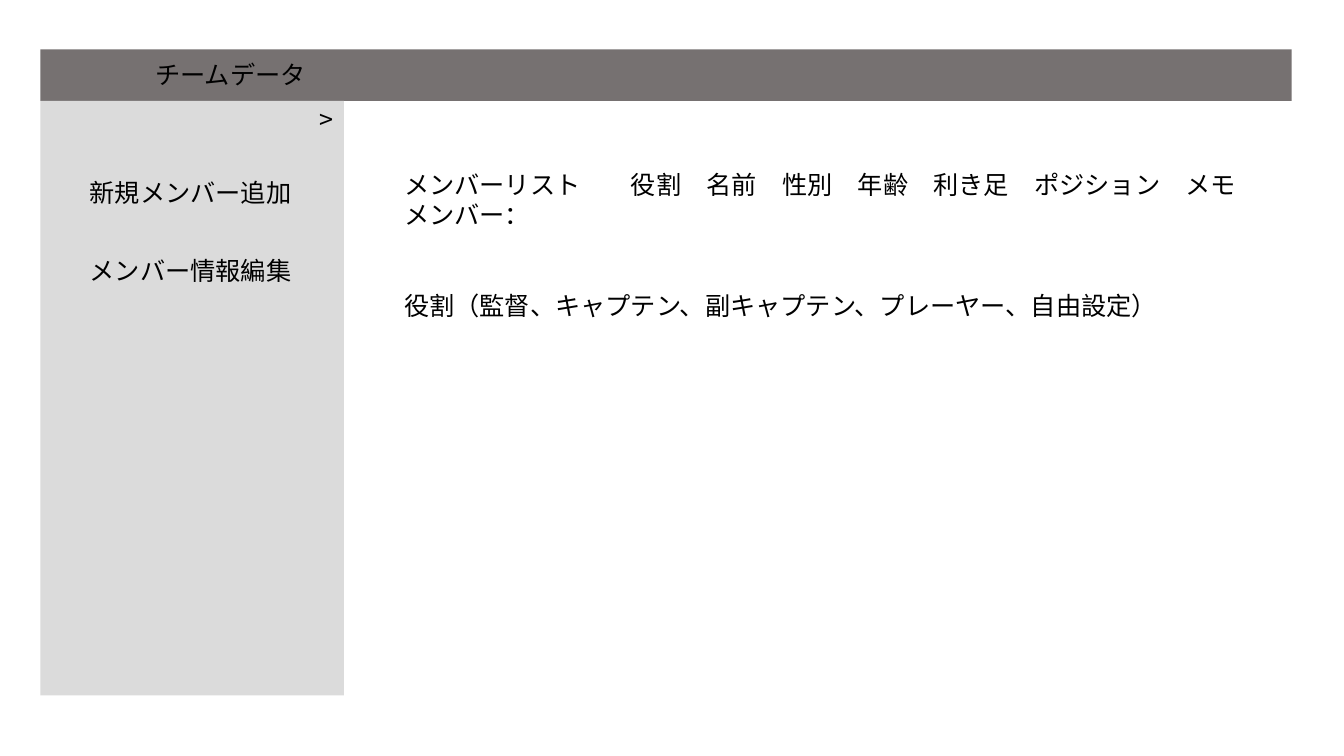
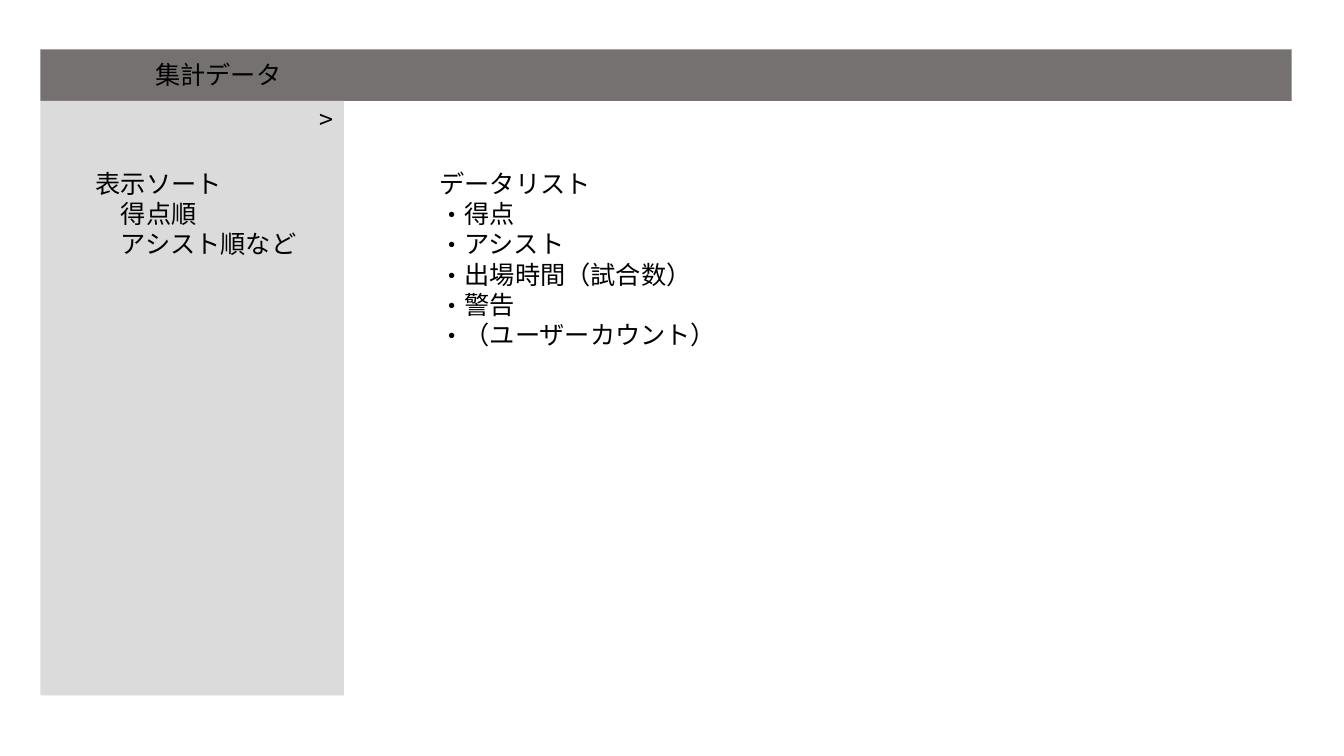
from lxml.etree import SubElement
from pptx import Presentation
from pptx.dml.color import RGBColor
from pptx.enum.shapes import MSO_SHAPE as SHAPE
from pptx.enum.text import MSO_ANCHOR as ANCHOR, MSO_AUTO_SIZE as AUTO, PP_ALIGN as ALIGN
from pptx.oxml.ns import qn
from pptx.util import Inches, Pt

COLORS = {"header": "767171", "sidebar": "DBDBDB", "text": "000000"}
FONT = "Noto Sans CJK JP"
SIZE = 18
EM = SIZE / 72  # width of one full-width character, in inches

# Regions: left, top, width, height
HEADER = (0.4, 0.49, 12.41, 0.51)
SIDEBAR = (0.4, 1, 3.01, 5.9)


def rgb(name):
    return RGBColor.from_string(COLORS[name])


def write(p, text, size=SIZE, color="text", before=0, indent=0, bullet=None, tabs=()):
    """Fill a paragraph with one formatted run."""
    p.alignment = ALIGN.LEFT
    p.space_before = Pt(before)
    r = p.add_run()
    r.text = text
    r.font.size = Pt(size)
    r.font.color.rgb = rgb(color)
    r.font.name = FONT
    SubElement(r._r.get_or_add_rPr(), qn("a:ea"), typeface=FONT)

    pPr = p._p.get_or_add_pPr()
    if indent:
        pPr.set("marL", str(Inches(indent)))
        pPr.set("indent", str(-Inches(indent) if bullet else 0))
    if bullet:
        SubElement(pPr, qn("a:buFont"), typeface=FONT)
        SubElement(pPr, qn("a:buChar"), char=bullet)
    if tabs:
        stops = SubElement(pPr, qn("a:tabLst"))
        for pos in tabs:
            SubElement(stops, qn("a:tab"), pos=str(Inches(pos)), algn="l")


def add_text(s, left, top, width, height, *lines):
    """Add a text box; each line is a pair of text and format."""
    box = s.shapes.add_textbox(Inches(left), Inches(top), Inches(width), Inches(height))
    tf = box.text_frame
    tf.word_wrap = True
    for i, (text, fmt) in enumerate(lines):
        write(tf.add_paragraph() if i else tf.paragraphs[0], text, **fmt)
    return box


def add_panel(s, box, color):
    sp = s.shapes.add_shape(SHAPE.RECTANGLE, *map(Inches, box))
    sp.shadow.inherit = False
    sp.fill.solid()
    sp.fill.fore_color.rgb = rgb(color)
    sp.line.fill.background()


def add_header(s, title, box):
    left, top, _, _ = box
    add_panel(s, box, "header")
    sp = s.shapes.title
    sp.left, sp.top = Inches(left + 1.04), Inches(top + 0.05)
    sp.width, sp.height = Inches(2.47), Inches(0.4)
    tf = sp.text_frame
    tf.auto_size = AUTO.NONE
    tf.vertical_anchor = ANCHOR.TOP
    write(tf.paragraphs[0], title)
    # Bring the title in front of the band
    s.shapes._spTree.append(sp._element)


def add_sidebar(s, box):
    left, top, width, _ = box
    add_panel(s, box, "sidebar")
    toggle = add_text(s, left + width - 0.39, top, 0.39, 0.4, ("<", {}))
    toggle.rotation = 180


def add_screen(prs, title):
    """Add a slide with the shared header and sidebar."""
    s = prs.slides.add_slide(prs.slide_layouts[5])
    add_header(s, title, HEADER)
    add_sidebar(s, SIDEBAR)
    return s


def add_team_screen(prs):
    s = add_screen(prs, "チームデータ")
    left, top, _, _ = SIDEBAR

    # Sidebar menu
    for i, label in enumerate(["新規メンバー追加", "メンバー情報編集"]):
        add_text(s, left + 0.39, top + 0.71 + i * 0.77, 2.28, 0.4, (label, {}))

    # Member list: each column starts one character after the one before
    heading = "メンバーリスト"
    columns = ["役割", "名前", "性別", "年齢", "利き足", "ポジション", "メモ"]
    tabs = [(len(heading) + 2) * EM]
    for name in columns[:-1]:
        tabs.append(tabs[-1] + (len(name) + 1) * EM)
    add_text(s, left + 3.51, top + 0.63, 8.56, 1.92,
             ("\t".join([heading] + columns), {"tabs": tabs}),
             ("メンバー：", {}),
             ("役割（監督、キャプテン、副キャプテン、プレーヤー、自由設定）", {"before": 43}))


def add_totals_screen(prs):
    s = add_screen(prs, "集計データ")
    left, top, _, _ = SIDEBAR

    # Sort order
    add_text(s, left + 0.45, top + 0.62, 2.28, 1.01,
             ("表示ソート", {}),
             *[(name, {"indent": EM}) for name in ["得点順", "アシスト順など"]])

    # Data list
    items = ["得点", "アシスト", "出場時間（試合数）", "警告", "（ユーザーカウント）"]
    add_text(s, left + 3.86, top + 0.62, 8.06, 1.92,
             ("データリスト", {}),
             *[(item, {"indent": EM, "bullet": "・"}) for item in items])


def main():
    prs = Presentation()
    prs.slide_width, prs.slide_height = Inches(13.33), Inches(7.5)
    add_team_screen(prs)
    add_totals_screen(prs)
    prs.save("out.pptx")


if __name__ == "__main__":
    main()
